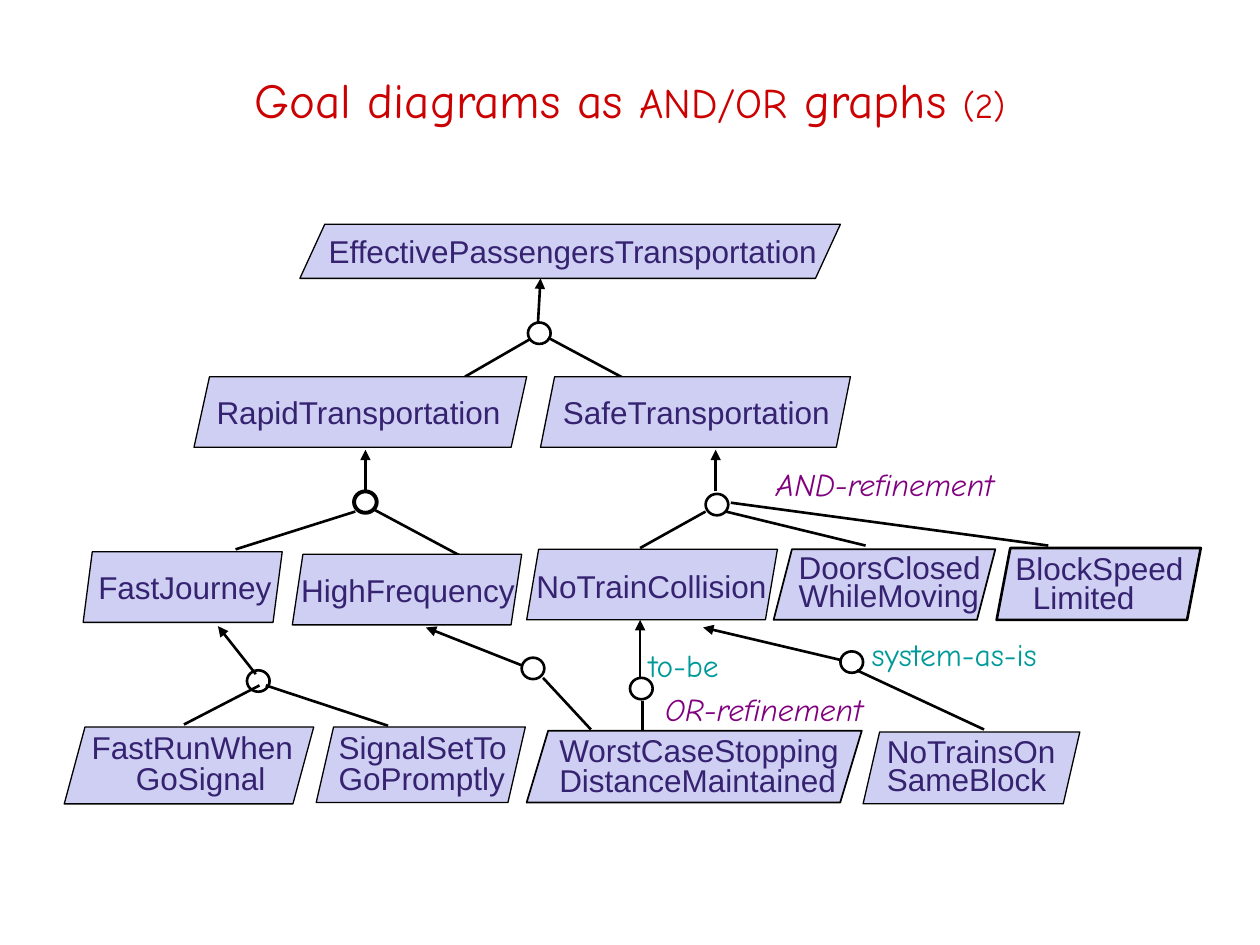
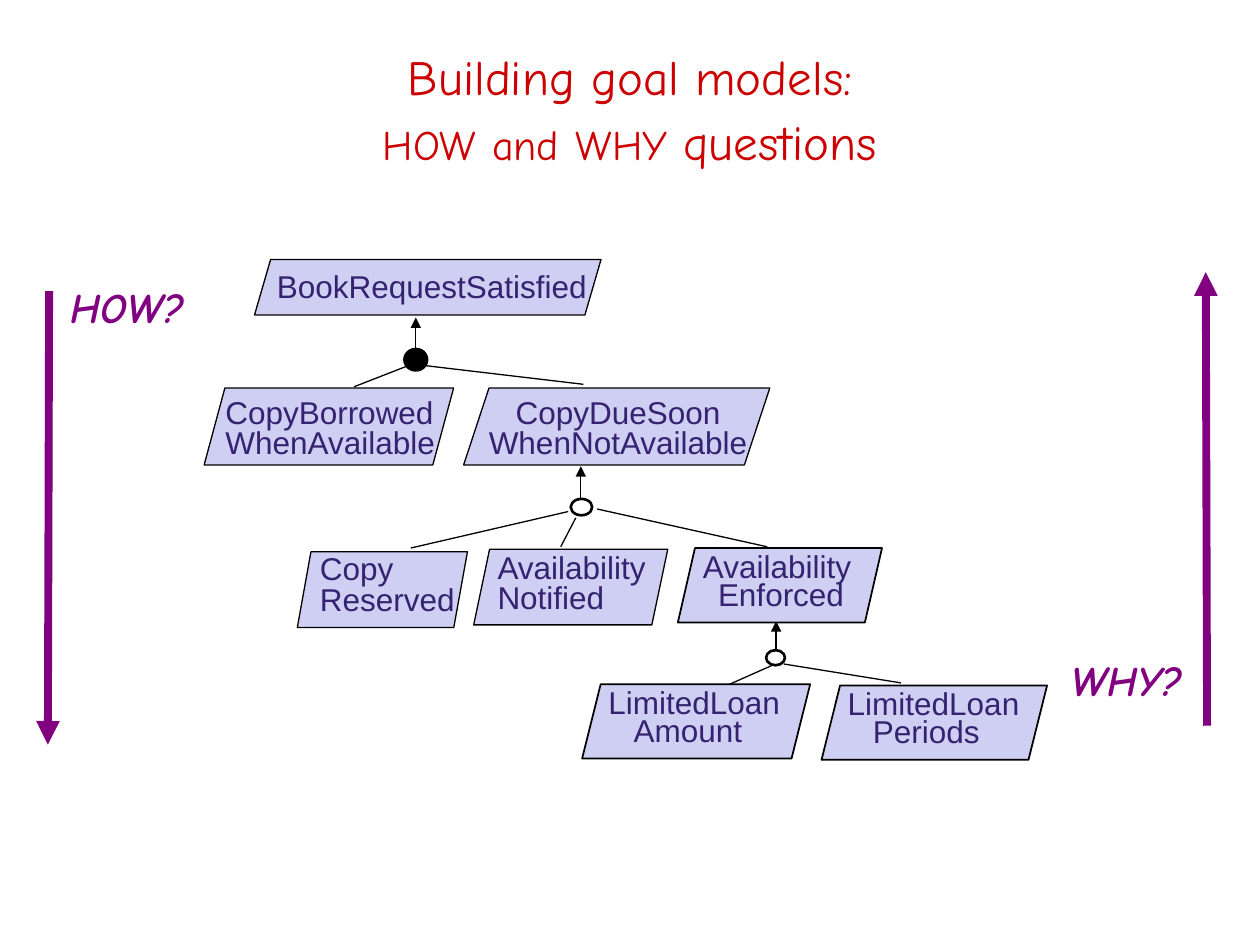
"""Builds two slides of goal refinement diagrams."""
from dataclasses import dataclass

from lxml import etree
from pptx import Presentation
from pptx.dml.color import RGBColor
from pptx.enum.shapes import MSO_CONNECTOR, MSO_SHAPE
from pptx.enum.text import MSO_ANCHOR, PP_ALIGN
from pptx.oxml.ns import qn
from pptx.util import Inches, Pt

PARALLELOGRAM = MSO_SHAPE.PARALLELOGRAM
OVAL = MSO_SHAPE.OVAL
STRAIGHT = MSO_CONNECTOR.STRAIGHT
LEFT, CENTER = PP_ALIGN.LEFT, PP_ALIGN.CENTER
TOP, MIDDLE = MSO_ANCHOR.TOP, MSO_ANCHOR.MIDDLE


@dataclass(frozen=True)
class Theme:
    title: str = "CC0000"
    goal_fill: str = "CECFF2"
    goal_text: str = "352270"
    ink: str = "000000"
    refinement: str = "800080"
    system: str = "009999"
    goal_font: str = "Arial"
    note_font: str = "Comic Neue"
    title_size: int = 28
    title_minor: int = 24
    title_small: int = 20
    body_size: int = 18
    question_size: int = 24
    thin: float = 0.75
    medium: float = 1
    thick: float = 1.5
    heavy: float = 2.25
    axis: float = 4.5


THEME = Theme()


class Deck:
    def __init__(self, theme):
        self.theme = theme
        self.presentation = Presentation()
        self.presentation.slide_width = Inches(10)
        self.presentation.slide_height = Inches(7.5)
        self.slide = None

    def new_slide(self):
        self.slide = self.presentation.slides.add_slide(self.presentation.slide_layouts[6])

    def style_run(self, run, size, font, color, bold=False, italic=False):
        run.font.size = Pt(size)
        run.font.name = font
        run.font.bold = bold
        run.font.italic = italic
        run.font.color.rgb = RGBColor.from_string(color)

    def text_frame(self, box, anchor=TOP, inset=0.1):
        frame = self.slide.shapes.add_textbox(*map(Inches, box)).text_frame
        frame.word_wrap = True
        frame.vertical_anchor = anchor
        frame.margin_left = frame.margin_right = Inches(inset)
        return frame

    def title(self, lines, top, spacing=1.0):
        frame = self.text_frame((0.19, top, 9.62, 0.89), MIDDLE)
        for index, pieces in enumerate(lines):
            paragraph = frame.add_paragraph() if index else frame.paragraphs[0]
            paragraph.alignment = CENTER
            paragraph.line_spacing = spacing
            for words, size in pieces:
                run = paragraph.add_run()
                run.text = words
                self.style_run(run, size, self.theme.note_font, self.theme.title)

    def text(self, words, box, font, color, size=THEME.body_size, spacing=1.0,
             align=LEFT, indent=0, inset=0.1, bold=False, italic=False):
        frame = self.text_frame(box, inset=inset)
        frame.text = words
        for index, paragraph in enumerate(frame.paragraphs):
            paragraph.alignment = align
            paragraph.line_spacing = spacing
            if index and indent:
                paragraph._p.get_or_add_pPr().set("marL", str(Inches(indent)))
            self.style_run(paragraph.runs[0], size, font, color, bold, italic)

    def note(self, words, box, color, **style):
        self.text(words, box, self.theme.note_font, color, **style)

    def outlined(self, preset, box, weight, fill=None):
        shape = self.slide.shapes.add_shape(preset, *map(Inches, box))
        shape.shadow.inherit = False
        if fill:
            shape.fill.solid()
            shape.fill.fore_color.rgb = RGBColor.from_string(fill)
        else:
            shape.fill.background()
        shape.line.color.rgb = RGBColor.from_string(self.theme.ink)
        shape.line.width = Pt(weight)
        return shape

    def goal(self, words, box, slant, label_box, weight=THEME.thin, **style):
        shape = self.outlined(PARALLELOGRAM, box, weight, self.theme.goal_fill)
        shape.adjustments[0] = slant
        self.text(words, label_box, self.theme.goal_font, self.theme.goal_text, **style)

    def node(self, left, top, width=0.18, height=0.17, weight=THEME.thick, fill=None):
        self.outlined(OVAL, (left, top, width, height), weight, fill)

    def line(self, ends, weight=THEME.thick, color=THEME.ink, arrow=False):
        link = self.slide.shapes.add_connector(STRAIGHT, *map(Inches, ends))
        link.line.color.rgb = RGBColor.from_string(color)
        link.line.width = Pt(weight)
        if arrow:
            etree.SubElement(link.line._get_or_add_ln(), qn("a:tailEnd"), type="triangle")
        etree.SubElement(link._element.spPr, qn("a:effectLst"))

    def refinements(self, branches, arrows, weight):
        for ends in branches:
            self.line(ends, weight)
        for ends in arrows:
            self.line(ends, weight, arrow=True)


def train_goals(deck):
    theme = deck.theme
    deck.new_slide()
    deck.title([[("Goal diagrams as ", theme.title_size), ("AND/OR", theme.title_minor),
                 (" graphs ", theme.title_size), ("(2)", theme.title_small)]], 0.34)
    branches = [
        (4.35, 2.68, 5.06, 3.06), (4.21, 2.69, 3.69, 2.99),
        (2.96, 4.04, 3.67, 4.42), (2.82, 4.06, 1.87, 4.36),
        (5.76, 4.06, 6.87, 4.33), (5.6, 4.06, 5.08, 4.35), (5.8, 3.99, 8.32, 4.33),
        (2.11, 5.44, 3.08, 5.76), (2.06, 5.44, 1.46, 5.75),
        (4.31, 5.38, 4.69, 5.79), (5.1, 5.56, 5.1, 6.04), (6.8, 5.32, 7.81, 5.79),
    ]
    arrows = [
        (4.27, 2.56, 4.29, 2.21), (2.9, 3.9, 2.9, 3.57), (5.68, 3.9, 5.68, 3.57),
        (2.03, 5.35, 1.73, 4.97), (4.14, 5.28, 3.38, 4.98),
        (5.08, 5.38, 5.08, 4.92), (6.68, 5.24, 5.58, 4.98),
    ]
    deck.refinements(branches, arrows, theme.thick)
    for left, top in [(4.19, 2.56), (5.6, 3.92), (1.96, 5.32),
                      (4.14, 5.22), (5, 5.38), (6.67, 5.17)]:
        deck.node(left, top)
    deck.node(2.81, 3.9, weight=theme.heavy)

    deck.goal("EffectivePassengersTransportation", (2.38, 1.78, 4.29, 0.43), 0.46,
              (2.51, 1.85, 4.14, 0.31), spacing=0.8)
    deck.goal("RapidTransportation", (1.54, 2.99, 2.64, 0.56), 0.22, (1.62, 3.07, 2.55, 0.4))
    deck.goal("SafeTransportation", (4.29, 2.99, 2.46, 0.56), 0.2, (4.37, 3.07, 2.37, 0.4))
    deck.goal("FastJourney", (0.66, 4.38, 1.58, 0.56), 0.13,
              (0.72, 4.46, 1.55, 0.4), inset=0.06)
    deck.goal("HighFrequency", (2.32, 4.4, 1.82, 0.56), 0.15,
              (2.39, 4.48, 1.79, 0.4), inset=0)
    deck.goal("NoTrainCollision", (4.18, 4.36, 1.99, 0.56), 0.17, (4.16, 4.45, 2.13, 0.4))
    deck.goal("DoorsClosed\nWhileMoving", (6.14, 4.36, 1.76, 0.56), 0.26,
              (6.24, 4.37, 1.66, 0.56), theme.medium, spacing=0.75)
    deck.goal("BlockSpeed\nLimited", (7.91, 4.35, 1.62, 0.57), 0.19,
              (7.96, 4.38, 1.57, 0.56), theme.thick, spacing=0.75, indent=0.14)
    deck.goal("FastRunWhen\nGoSignal", (0.51, 5.77, 1.98, 0.61), 0.27,
              (0.63, 5.79, 1.87, 0.57), spacing=0.8, indent=0.35)
    deck.goal("SignalSetTo\nGoPromptly", (2.51, 5.77, 1.66, 0.6), 0.23,
              (2.59, 5.79, 1.56, 0.56), spacing=0.8)
    deck.goal("WorstCaseStopping\nDistanceMaintained", (4.18, 5.8, 2.66, 0.57), 0.3,
              (4.34, 5.81, 2.51, 0.53), theme.medium, spacing=0.8)
    deck.goal("NoTrainsOn\nSameBlock", (6.85, 5.81, 1.72, 0.57), 0.23,
              (6.94, 5.83, 1.62, 0.52), spacing=0.75)

    deck.note("system-as-is", (6.82, 4.99, 2.34, 0.41), theme.system)
    deck.note("to-be", (5.05, 5.08, 0.97, 0.36), theme.system)
    deck.note("AND-refinement", (6.06, 3.64, 2.8, 0.4), theme.refinement, italic=True)
    deck.note("OR-refinement", (5.18, 5.43, 2.36, 0.4), theme.refinement, italic=True)


def library_goals(deck):
    theme = deck.theme
    deck.new_slide()
    large, minor = theme.title_size, theme.title_minor
    deck.title([[("Building goal models:", large)],
                [("HOW", minor), (" ", large), ("and", minor), (" ", large),
                 ("WHY", minor), (" questions", large)]], 0.39, spacing=1.1)
    branches = [
        (3.36, 2.9, 4.63, 3.05), (3.22, 2.91, 2.81, 3.07),
        (4.74, 4.04, 6.09, 4.34), (4.57, 4.11, 4.45, 4.34), (4.51, 4.06, 3.26, 4.35),
        (6.13, 5.28, 5.77, 5.44), (6.22, 5.27, 7.15, 5.42),
    ]
    arrows = [(3.3, 2.77, 3.3, 2.52), (4.61, 3.96, 4.61, 3.7), (6.16, 5.16, 6.16, 4.93)]
    deck.refinements(branches, arrows, theme.thin)
    deck.node(3.21, 2.77, fill=theme.ink)
    deck.node(4.53, 3.96, 0.17, 0.13)
    deck.node(6.08, 5.16, 0.15, 0.12)

    deck.goal("BookRequestSatisfied", (2.02, 2.06, 2.75, 0.44), 0.29, (2.1, 2.07, 2.67, 0.39))
    deck.goal("CopyBorrowed\nWhenAvailable", (1.62, 3.08, 1.98, 0.61), 0.27,
              (1.69, 3.13, 1.87, 0.57), spacing=0.8)
    deck.goal("CopyDueSoon\nWhenNotAvailable", (3.68, 3.08, 2.43, 0.61), 0.33,
              (3.76, 3.13, 2.29, 0.57), spacing=0.8, align=CENTER)
    deck.goal("Copy\nReserved", (2.36, 4.38, 1.35, 0.6), 0.18,
              (2.44, 4.37, 1.27, 0.56), spacing=0.8)
    deck.goal("Availability\nNotified", (3.76, 4.36, 1.54, 0.6), 0.21,
              (3.85, 4.36, 1.45, 0.56), spacing=0.8)
    deck.goal("Availability\nEnforced", (5.38, 4.35, 1.62, 0.59), 0.23,
              (5.48, 4.36, 1.42, 0.56), theme.medium, spacing=0.75, indent=0.12)
    deck.goal("LimitedLoan\nAmount", (4.62, 5.43, 1.81, 0.59), 0.25,
              (4.73, 5.44, 1.58, 0.56), theme.medium, spacing=0.75, indent=0.2)
    deck.goal("LimitedLoan\nPeriods", (6.52, 5.44, 1.79, 0.59), 0.25,
              (6.63, 5.45, 1.57, 0.56), theme.medium, spacing=0.75, indent=0.2)

    questions = [("HOW?", (0.28, 2.26, 1.46, 0.4), (0.39, 2.31, 0.38, 5.91)),
                 ("WHY?", (8.29, 5.22, 1.31, 0.4), (9.58, 5.76, 9.57, 2.16))]
    for question, box, direction in questions:
        deck.line(direction, theme.axis, theme.refinement, arrow=True)
        deck.note(question, box, theme.refinement, size=theme.question_size,
                  spacing=0.8, align=CENTER, bold=True, italic=True)


def main():
    deck = Deck(THEME)
    train_goals(deck)
    library_goals(deck)
    deck.presentation.save("out.pptx")


if __name__ == "__main__":
    main()
